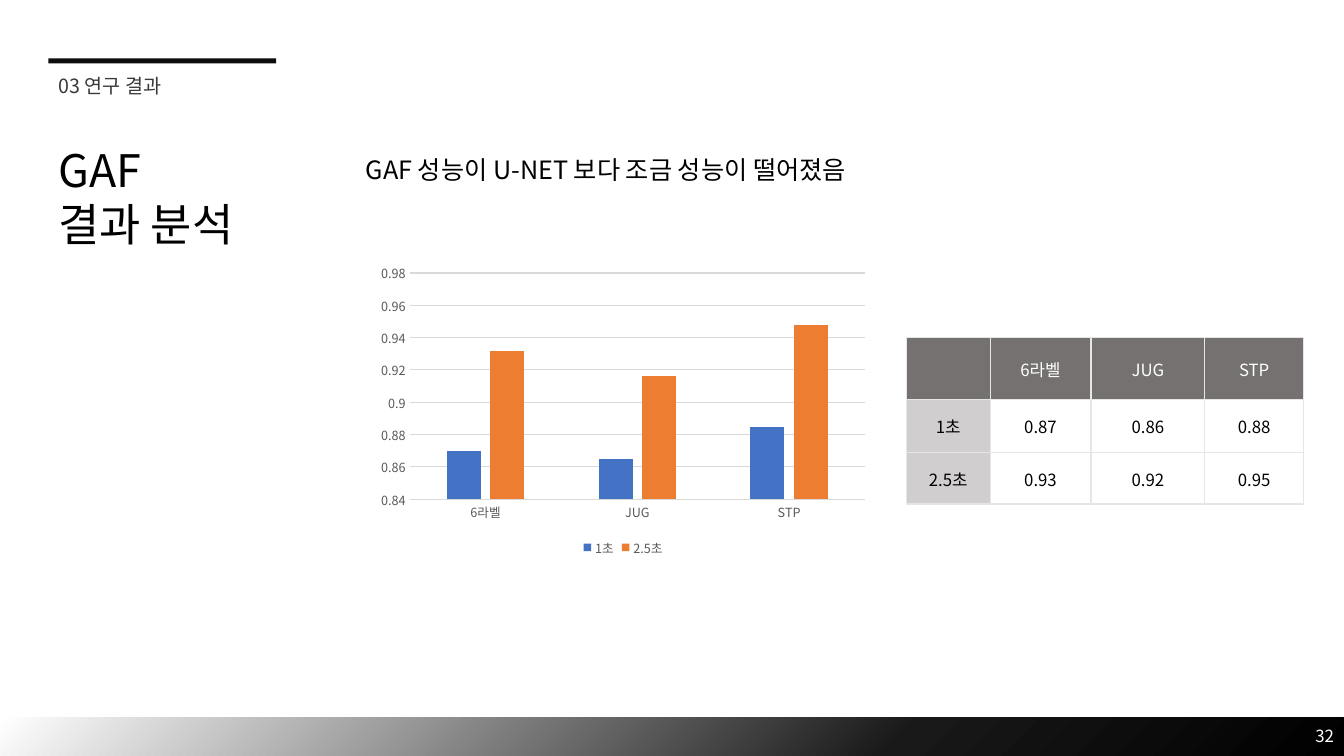
from lxml import etree
from pptx import Presentation
from pptx import util as u
from pptx.chart.data import CategoryChartData
from pptx.dml.color import RGBColor
from pptx.enum import chart as ch
from pptx.enum import shapes, text
from pptx.oxml import parse_xml
from pptx.oxml.ns import nsdecls, qn

FONT = "Noto Sans CJK KR"
BLACK = RGBColor(0x00, 0x00, 0x00)
WHITE = RGBColor(0xFF, 0xFF, 0xFF)
BAR = RGBColor(0x0D, 0x0D, 0x0D)
SECTION = RGBColor(0x3B, 0x38, 0x38)
AXIS_TEXT = RGBColor(0x59, 0x59, 0x59)
GRID = RGBColor(0xD9, 0xD9, 0xD9)
BLUE = RGBColor(0x44, 0x72, 0xC4)
ORANGE = RGBColor(0xED, 0x7D, 0x31)
HEAD_FILL = RGBColor(0x76, 0x71, 0x71)
SIDE_FILL = RGBColor(0xD0, 0xCE, 0xCE)
BORDER = RGBColor(0xE7, 0xE6, 0xE6)

WIDTH, HEIGHT = 13.33, 7.5
LABELS = ["6라벨", "JUG", "STP"]
CHART_SERIES = [("1초", [0.87, 0.865, 0.885], BLUE),
                ("2.5초", [0.932, 0.916, 0.948], ORANGE)]
TABLE_ROWS = [["", *LABELS],
              ["1초", "0.87", "0.86", "0.88"],
              ["2.5초", "0.93", "0.92", "0.95"]]


def inches(box):
    return [u.Inches(length) for length in box]


def style_font(font, size, color):
    font.name, font.size = FONT, u.Pt(size)
    font.color.rgb = color


def write(frame, content, size=12, color=BLACK, align=None,
          anchor=text.MSO_ANCHOR.TOP):
    """Fill a text frame, one paragraph per line, in one format."""
    frame.word_wrap = True
    frame.vertical_anchor = anchor
    for i, line in enumerate(content.split("\n")):
        paragraph = frame.paragraphs[0] if i == 0 else frame.add_paragraph()
        paragraph.alignment = align
        run = paragraph.add_run()
        run.text = line
        style_font(run.font, size, color)
        east_asian = etree.SubElement(run.font._element, qn("a:ea"))
        east_asian.set("typeface", FONT)


def add_text(slide, box, content, **style):
    write(slide.shapes.add_textbox(*inches(box)).text_frame, content, **style)


def add_band(slide, box):
    band = slide.shapes.add_shape(shapes.MSO_SHAPE.RECTANGLE, *inches(box))
    band.shadow.inherit = False
    band.line.fill.background()
    return band


def add_footer(slide, box, number):
    """Gradient band with the page number at its right end."""
    left, top, width, height = box
    band = add_band(slide, box)
    band.fill.gradient()
    gradient = band._element.spPr.find(qn("a:gradFill"))
    stops = "".join(f'<a:gs pos="{share * 1000}"><a:srgbClr val="{color}"/></a:gs>'
                    for share, color in [(0, "000000"), (33, "181818"), (100, "FFFFFF")])
    gradient.getparent().replace(gradient, parse_xml(
        f'<a:gradFill {nsdecls("a")} rotWithShape="1"><a:gsLst>{stops}</a:gsLst>'
        '<a:path path="circle"><a:fillToRect l="100000" t="100000"/></a:path>'
        '</a:gradFill>'))
    add_text(slide, (left + width - 3, top - 0.02, 3, 0.4), number, color=WHITE,
             align=text.PP_ALIGN.RIGHT, anchor=text.MSO_ANCHOR.MIDDLE)


def add_heading(slide, box, section, title):
    """Rule, section name and slide title, stacked."""
    left, top, width, height = box
    rule = add_band(slide, (left, top, 2.26, 0.05))
    rule.fill.solid()
    rule.fill.fore_color.rgb = BAR
    add_text(slide, (left, top + 0.1, 1.23, 0.34), section, size=14, color=SECTION)
    add_text(slide, (left, top + 0.79, width, height - 0.79), title, size=32)


def add_score_chart(slide, box):
    data = CategoryChartData()
    data.categories = LABELS
    for name, scores, _ in CHART_SERIES:
        data.add_series(name, scores)
    chart = slide.shapes.add_chart(
        ch.XL_CHART_TYPE.COLUMN_CLUSTERED, *inches(box), data).chart
    style_font(chart.font, 10, BLACK)
    chart.has_title = False

    plot = chart.plots[0]
    plot.gap_width, plot.overlap, plot.vary_by_categories = 219, -27, False
    for series, (_, _, color) in zip(plot.series, CHART_SERIES):
        series.format.fill.solid()
        series.format.fill.fore_color.rgb = color

    labels, scale = chart.category_axis, chart.value_axis
    for axis in (labels, scale):
        axis.major_tick_mark = axis.minor_tick_mark = ch.XL_TICK_MARK.NONE
        style_font(axis.tick_labels.font, 9, AXIS_TEXT)
    scale.minimum_scale, scale.maximum_scale, scale.major_unit = 0.84, 0.98, 0.02
    scale.has_major_gridlines = True
    scale.format.line.fill.background()
    for line in (labels.format.line, scale.major_gridlines.format.line):
        line.color.rgb, line.width = GRID, u.Pt(0.75)

    chart.has_legend = True
    chart.legend.position = ch.XL_LEGEND_POSITION.BOTTOM
    chart.legend.include_in_layout = False
    style_font(chart.legend.font, 9, AXIS_TEXT)


def format_cell(cell, fill):
    properties = cell._tc.get_or_add_tcPr()
    for side in ("lnL", "lnR", "lnT", "lnB"):
        properties.append(parse_xml(
            f'<a:{side} {nsdecls("a")} w="{u.Pt(1)}"><a:solidFill>'
            f'<a:srgbClr val="{BORDER}"/></a:solidFill></a:{side}>'))
    cell.fill.solid()
    cell.fill.fore_color.rgb = fill
    cell.margin_left = cell.margin_right = cell.margin_top = u.Inches(0.01)
    cell.margin_bottom = 0
    cell.vertical_anchor = text.MSO_ANCHOR.MIDDLE


def add_score_table(slide, box, columns, rows):
    table = slide.shapes.add_table(len(rows), len(columns), *inches(box)).table
    for column, width in zip(table.columns, columns):
        column.width = u.Inches(width)
    for row, height in zip(table.rows, rows):
        row.height = u.Inches(height)
    for r, values in enumerate(TABLE_ROWS):
        for c, value in enumerate(values):
            cell = table.cell(r, c)
            format_cell(cell, HEAD_FILL if r == 0 else SIDE_FILL if c == 0 else WHITE)
            if value:
                write(cell.text_frame, value, color=BLACK if r else WHITE,
                      align=text.PP_ALIGN.CENTER, anchor=text.MSO_ANCHOR.MIDDLE)


def main():
    deck = Presentation()
    deck.slide_width, deck.slide_height = u.Inches(WIDTH), u.Inches(HEIGHT)
    slide = deck.slides.add_slide(deck.slide_layouts[6])

    # Frame: footer and heading
    add_footer(slide, (0, HEIGHT - 0.38, WIDTH, 0.38), "32")
    add_heading(slide, (0.48, 0.58, 2.8, 1.97), "03 연구 결과", "GAF\n결과 분석")

    # Finding, with the scores as chart and table
    add_text(slide, (3.53, 1.32, WIDTH - 3.53, 0.72),
             "GAF 성능이 U-NET 보다 조금 성능이 떨어졌음",
             size=18, anchor=text.MSO_ANCHOR.MIDDLE)
    add_score_chart(slide, (3.68, 2.56, 5, 3))
    add_score_table(slide, (8.99, 3.35, 3.94, 1.65),
                    columns=[0.83, 1, 1.13, 0.98], rows=[0.61, 0.53, 0.51])

    deck.save("out.pptx")


if __name__ == "__main__":
    main()
